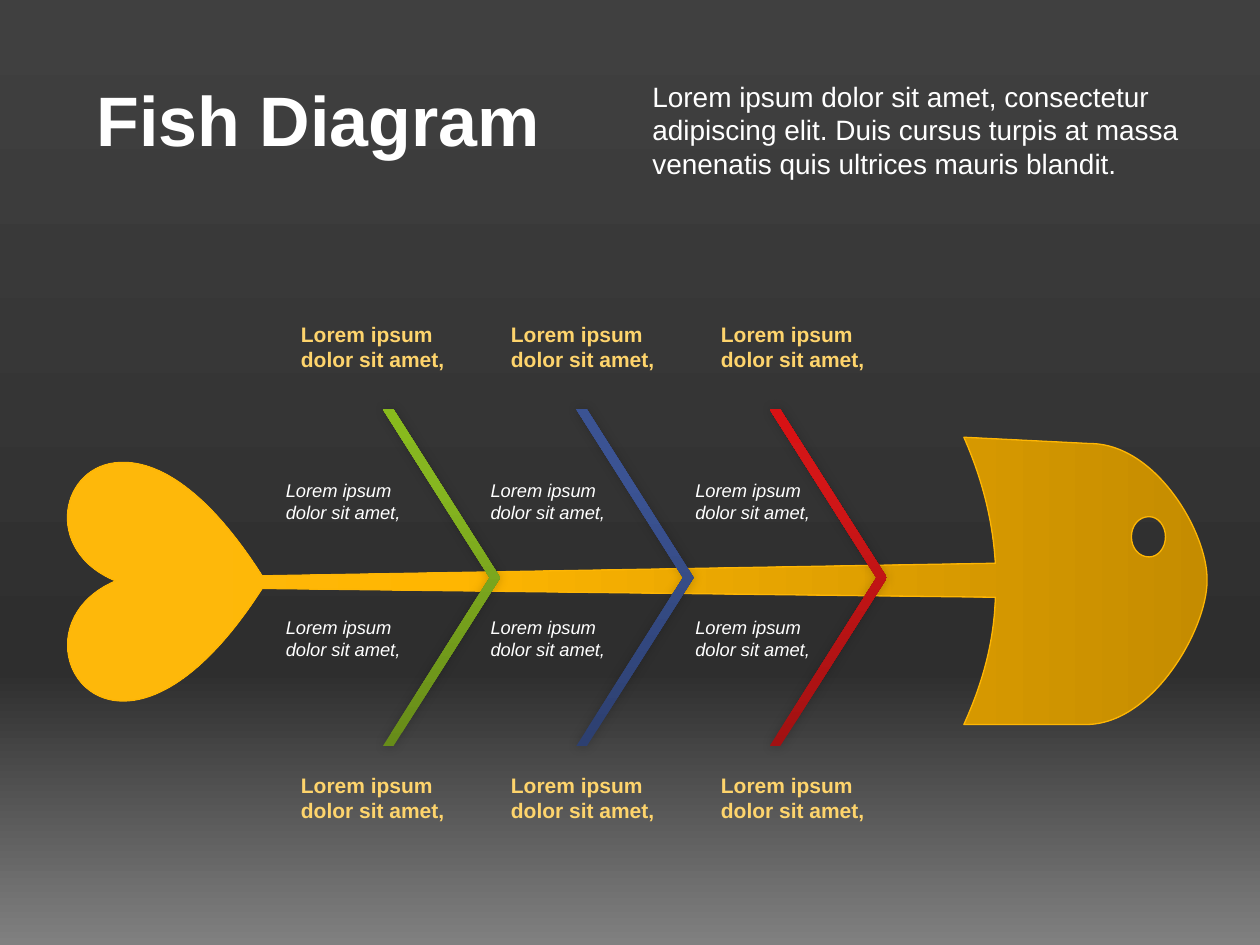
import copy
from dataclasses import dataclass

import pptx
import pptx.dml.color
import pptx.enum.shapes
import pptx.enum.text
import pptx.oxml
import pptx.oxml.ns
import pptx.util
from lxml import etree
from pptx.util import Inches


@dataclass(frozen=True)
class Theme:
    """Colours, gradients and type sizes of the slide."""
    font: str = "Arial"
    white: str = "FFFFFF"
    label: str = "FED46C"
    outline: str = "FEB604"
    backdrop: tuple = ((0, "808080"), (29, "2E2E2E"), (100, "404040"))
    fish: tuple = ((0, "C58C00"), (67, "FFB601"), (90, "FEB80A"))
    ribs: tuple = (
        ((0, "678C19"), (80, "86B620"), (100, "88BA1D")),
        ((0, "2D4071"), (80, "3B5393"), (100, "395295")),
        ((0, "A21112"), (80, "D31617"), (100, "D71214")),
    )
    title_size: float = 40
    intro_size: float = 16
    label_size: float = 12
    note_size: float = 10.5


THEME = Theme()
PHRASE = "Lorem ipsum dolor sit amet,"
INTRO = ("Lorem ipsum dolor sit amet, consectetur adipiscing elit. Duis cursus "
         "turpis at massa venenatis quis ultrices mauris blandit.")
EYE = (
    ((8.59, 0.63),),
    ((8.51, 0.63), (8.45, 0.7), (8.45, 0.79)),
    ((8.45, 0.88), (8.51, 0.95), (8.59, 0.95)),
    ((8.66, 0.95), (8.72, 0.88), (8.72, 0.79)),
    ((8.72, 0.7), (8.66, 0.63), (8.59, 0.63)),
)
BODY = (
    ((7.12, 0),),
    ((8.12, 0.05),),
    ((8.65, 0.05), (9.06, 0.77), (9.05, 1.14)),
    ((9.05, 1.52), (8.62, 2.28), (8.09, 2.28)),
    ((7.12, 2.28),),
    ((7.27, 1.95), (7.36, 1.62), (7.37, 1.27)),
    ((1.55, 1.2),),
    ((0.37, 3.04), (-0.54, 1.53), (0.39, 1.14)),
    ((-0.2, 0.9), (-0.05, 0.21), (0.43, 0.2)),
    ((0.72, 0.19), (1.11, 0.41), (1.55, 1.1)),
    ((7.37, 1),),
    ((7.35, 0.67), (7.27, 0.34), (7.12, 0)),
)


def rgb(value):
    """Return a colour from its hex value."""
    return pptx.dml.color.RGBColor.from_string(value)


def fill_gradient(fill, element, stops):
    """Give a fill a gradient that rises through any number of stops."""
    fill.gradient()
    fill.gradient_angle = 90
    stop_list = element.find(".//" + pptx.oxml.ns.qn("a:gsLst"))
    for _ in stops[2:]:
        stop_list.append(copy.deepcopy(stop_list[-1]))
    for stop, (percent, colour) in zip(fill.gradient_stops, stops):
        stop.position = percent / 100
        stop.color.rgb = rgb(colour)


def add_soft_shadow(shape):
    """Put a faint black blur around a shape."""
    effects = shape._element.spPr.find(pptx.oxml.ns.qn("a:effectLst"))
    effects.append(pptx.oxml.parse_xml(
        f'<a:outerShdw {pptx.oxml.ns.nsdecls("a")} blurRad="{pptx.util.Pt(6)}" '
        'dist="0" dir="18900000" algn="ctr" rotWithShape="0">'
        '<a:srgbClr val="000000"><a:alpha val="20000"/></a:srgbClr></a:outerShdw>'))


def add_text(slide, box, text, size, colour, bold=False, italic=False):
    """Place one wrapped paragraph in a box."""
    frame = slide.shapes.add_textbox(*map(Inches, box)).text_frame
    frame.word_wrap = True
    frame.auto_size = pptx.enum.text.MSO_AUTO_SIZE.SHAPE_TO_FIT_TEXT
    paragraph = frame.paragraphs[0]
    paragraph.text = text
    font = paragraph.font
    font.name, font.size = THEME.font, pptx.util.Pt(size)
    font.bold, font.italic = bold, italic
    font.color.rgb = rgb(colour)


def add_contour(outline, segments, height):
    """Append a closed contour of lines and curves, turned to stand upright."""
    qn = pptx.oxml.ns.qn
    for index, points in enumerate(segments):
        tag = "a:cubicBezTo" if len(points) == 3 else "a:lnTo" if index else "a:moveTo"
        command = etree.SubElement(outline, qn(tag))
        for x, y in points:
            etree.SubElement(command, qn("a:pt"),
                             x=str(int(Inches(height - y))), y=str(int(Inches(x))))
    etree.SubElement(outline, qn("a:close"))


def add_fish(slide, left, top, length, height):
    """Draw the fish upright and lay it on its side, with an open eye."""
    builder = slide.shapes.build_freeform(0, 0)
    builder.add_line_segments([(Inches(height), 0), (Inches(height), Inches(length)),
                               (0, Inches(length))])
    fish = builder.convert_to_shape(Inches(left + (length - height) / 2),
                                    Inches(top - (length - height) / 2))
    fish.rotation = 270
    outline = fish._element.find(".//" + pptx.oxml.ns.qn("a:path"))
    for command in list(outline):
        outline.remove(command)
    for contour in (EYE, BODY):
        add_contour(outline, contour, height)
    fill_gradient(fish.fill, fish._element, THEME.fish)
    fish.line.color.rgb = rgb(THEME.outline)
    fish.line.width = pptx.util.Pt(0.75)
    fish.shadow.inherit = False


def add_ribs(slide, left, top, width, height, pitch):
    """Draw one chevron per colour across the spine."""
    for index, stops in enumerate(THEME.ribs):
        rib = slide.shapes.add_shape(
            pptx.enum.shapes.MSO_SHAPE.CHEVRON,
            *map(Inches, (left + index * pitch, top, width, height)))
        rib.adjustments[0] = 0.91
        fill_gradient(rib.fill, rib._element, stops)
        rib.line.fill.background()
        rib.shadow.inherit = False
        add_soft_shadow(rib)


def add_captions(slide, box, pitch, size, colour, **style):
    """Place a row of equal captions, one for each rib."""
    left, top, width, height = box
    for index in range(len(THEME.ribs)):
        add_text(slide, (left + index * pitch, top, width, height),
                 PHRASE, size, colour, **style)


def add_header(slide, left, top):
    """Place the title and the introduction beside it."""
    add_text(slide, (left, top, 3.92, 0.77), "Fish Diagram",
             THEME.title_size, THEME.white, bold=True)
    add_text(slide, (left + 4.41, top + 0.02, 4.5, 1.18), INTRO,
             THEME.intro_size, THEME.white)


def main():
    """Build the fish diagram slide and save it."""
    deck = pptx.Presentation()
    deck.slide_width, deck.slide_height = Inches(10), Inches(7.5)
    slide = deck.slides.add_slide(deck.slide_layouts[6])
    fill_gradient(slide.background.fill, slide._element, THEME.backdrop)
    add_fish(slide, 0.53, 3.47, 9.05, 2.28)
    add_ribs(slide, 3.04, 3.25, 0.93, 2.67, 1.535)
    for top in (2.5, 6.08):
        add_captions(slide, (2.29, top, 1.42, 0.5), 5 / 3,
                     THEME.label_size, THEME.label, bold=True)
    add_header(slide, 0.67, 0.56)
    for top in (3.75, 4.84):
        add_captions(slide, (2.17, top, 1.25, 0.45), 1.625,
                     THEME.note_size, THEME.white, italic=True)
    deck.save("out.pptx")


if __name__ == "__main__":
    main()
